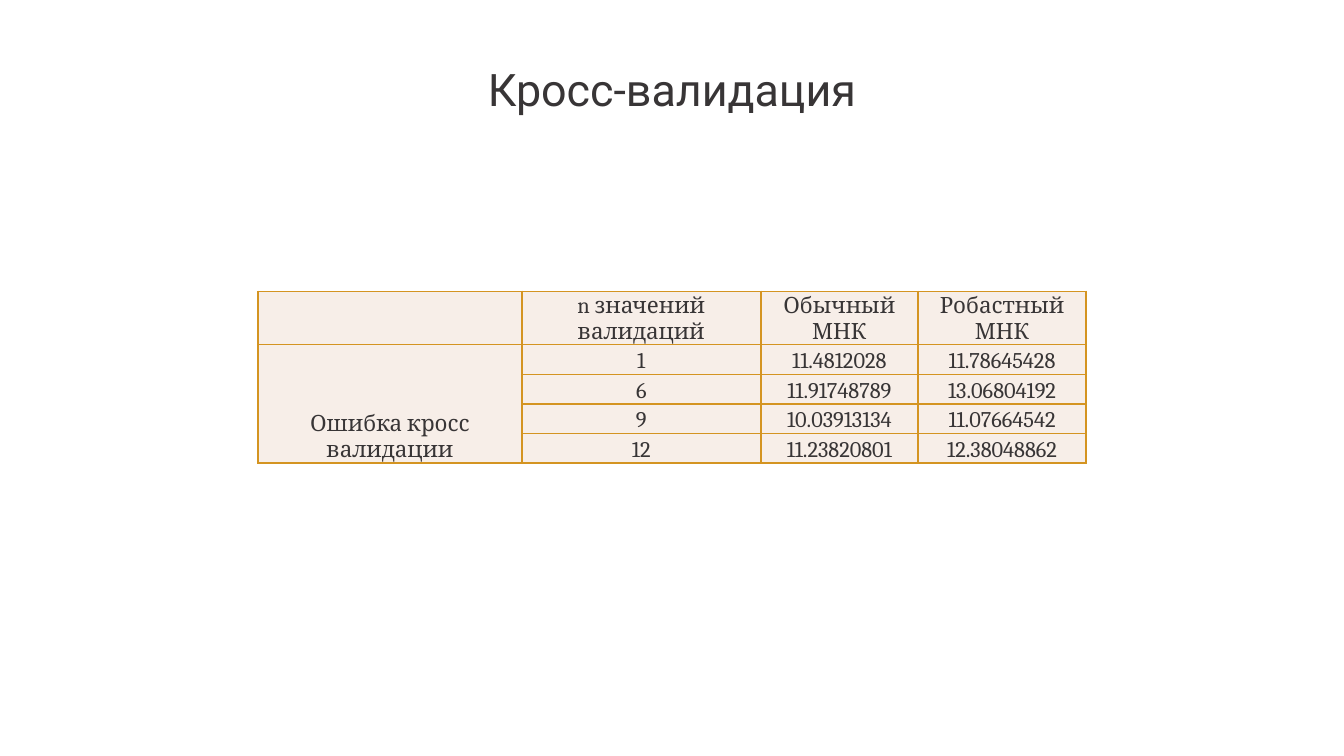
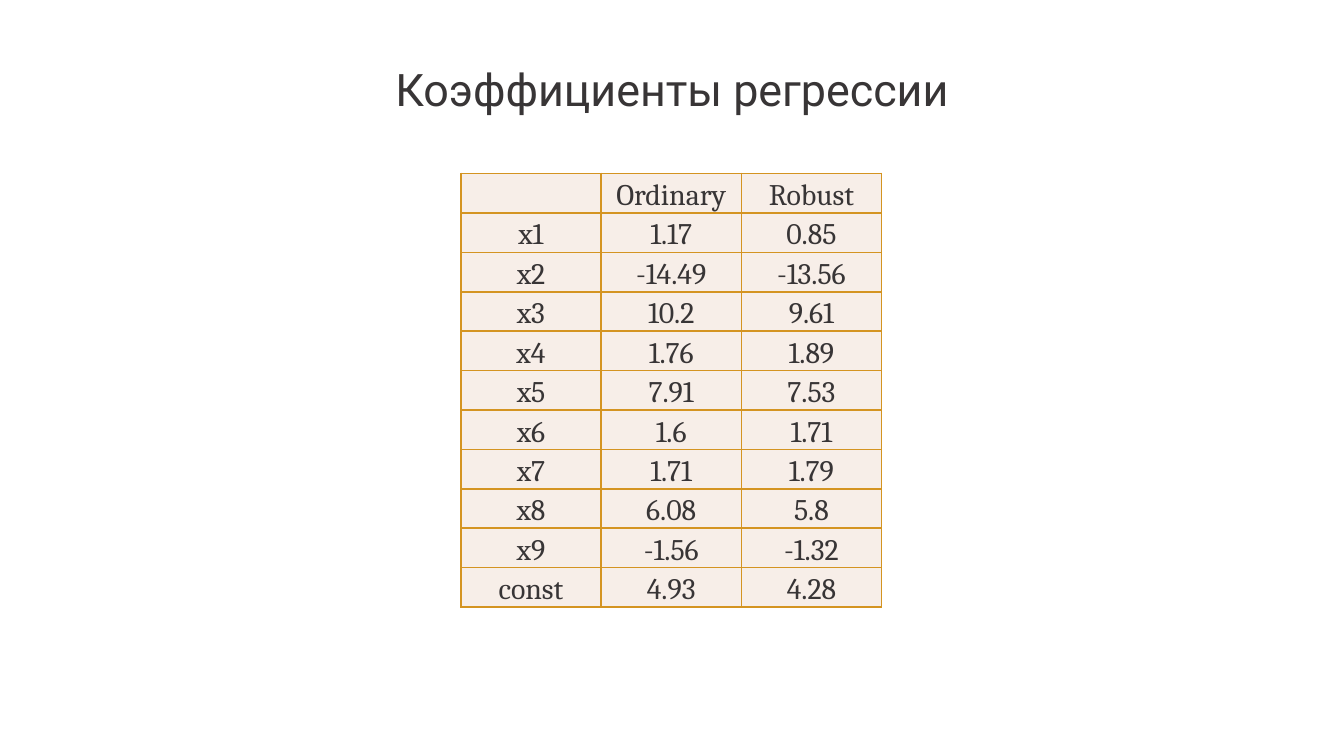
"""Build two slides with cross-validation and regression coefficient tables."""
from lxml.etree import SubElement
from pptx import Presentation
from pptx.dml.color import RGBColor
from pptx.enum.text import MSO_ANCHOR as Anchor, MSO_AUTO_SIZE as AutoSize, PP_ALIGN as Align
from pptx.oxml.ns import qn
from pptx.util import Cm, Pt

INK, CELL_FILL, BORDER = "383536", "F7EEE8", "D49421"
TITLE_FONT, TABLE_FONT = "Roboto", "Cambria"


def add_text(frame, text, font_name, size, color):
    """Write one centred run, or size the empty paragraph."""
    paragraph = frame.paragraphs[0]
    paragraph.alignment = Align.CENTER
    if not text:
        SubElement(paragraph._p, qn("a:endParaRPr"), sz=str(size * 100))
        return
    run = paragraph.add_run()
    run.text = text
    run.font.name = font_name
    run.font.size = Pt(size)
    run.font.color.rgb = RGBColor.from_string(color)


def style_cell(cell):
    """Give a cell its borders, fill, margins and anchor."""
    properties = cell._tc.get_or_add_tcPr()
    for side in ("a:lnL", "a:lnR", "a:lnT", "a:lnB"):
        line = SubElement(properties, qn(side), w=str(Pt(1)))
        fill = SubElement(line, qn("a:solidFill"))
        SubElement(fill, qn("a:srgbClr"), val=BORDER)
    cell.fill.solid()
    cell.fill.fore_color.rgb = RGBColor.from_string(CELL_FILL)
    cell.margin_left = cell.margin_right = cell.margin_top = Cm(0.03)
    cell.margin_bottom = 0
    cell.vertical_anchor = Anchor.BOTTOM


validation_rows = [
    ["", "n значений валидаций", "Обычный МНК", "Робастный МНК"],
    ["Ошибка кросс валидации", "1", "11.4812028", "11.78645428"],
    ["", "6", "11.91748789", "13.06804192"],
    ["", "9", "10.03913134", "11.07664542"],
    ["", "12", "11.23820801", "12.38048862"],
]
coefficient_rows = [
    ["", "Ordinary", "Robust"],
    ["x1", "1.17", "0.85"],
    ["x2", "-14.49", "-13.56"],
    ["x3", "10.2", "9.61"],
    ["x4", "1.76", "1.89"],
    ["x5", "7.91", "7.53"],
    ["x6", "1.6", "1.71"],
    ["x7", "1.71", "1.79"],
    ["x8", "6.08", "5.8"],
    ["x9", "-1.56", "-1.32"],
    ["const", "4.93", "4.28"],
]
pages = [
    ("Кросс-валидация", validation_rows, 4.88, 5.51,
     [4.98, 4.52, 2.97, 3.18], [1] + [0.56] * 4, 12),
    ("Коэффициенты регрессии", coefficient_rows, 8.71, 3.28,
     [2.65] * 3, [0.745] * 11, 16),
]

presentation = Presentation()
presentation.slide_width = Cm(25.4)
presentation.slide_height = Cm(14.29)
tables = []

for heading, rows, left, top, widths, heights, size in pages:
    slide = presentation.slides.add_slide(presentation.slide_layouts[5])
    title = slide.shapes.title
    title.left, title.top, title.width, title.height = Cm(6.73), Cm(0.79), Cm(11.94), Cm(1.75)
    frame = title.text_frame
    frame.margin_left = frame.margin_right = Cm(0.25)
    frame.margin_top = frame.margin_bottom = Cm(0.25)
    frame.vertical_anchor = Anchor.MIDDLE
    frame.word_wrap = True
    frame.auto_size = AutoSize.NONE
    add_text(frame, heading, TITLE_FONT, 24, INK)

    table = slide.shapes.add_table(
        len(rows), len(widths), Cm(left), Cm(top), Cm(sum(widths)), Cm(sum(heights))
    ).table
    table.first_row = table.horz_banding = False
    for column, width in zip(table.columns, widths):
        column.width = Cm(width)
    for row, height, values in zip(table.rows, heights, rows):
        row.height = Cm(height)
        for cell, value in zip(row.cells, values):
            style_cell(cell)
            add_text(cell.text_frame, value, TABLE_FONT, size, INK)
    tables.append(table)

validation_table = tables[0]
validation_table.cell(1, 0).merge(validation_table.cell(4, 0))

presentation.save("out.pptx")
